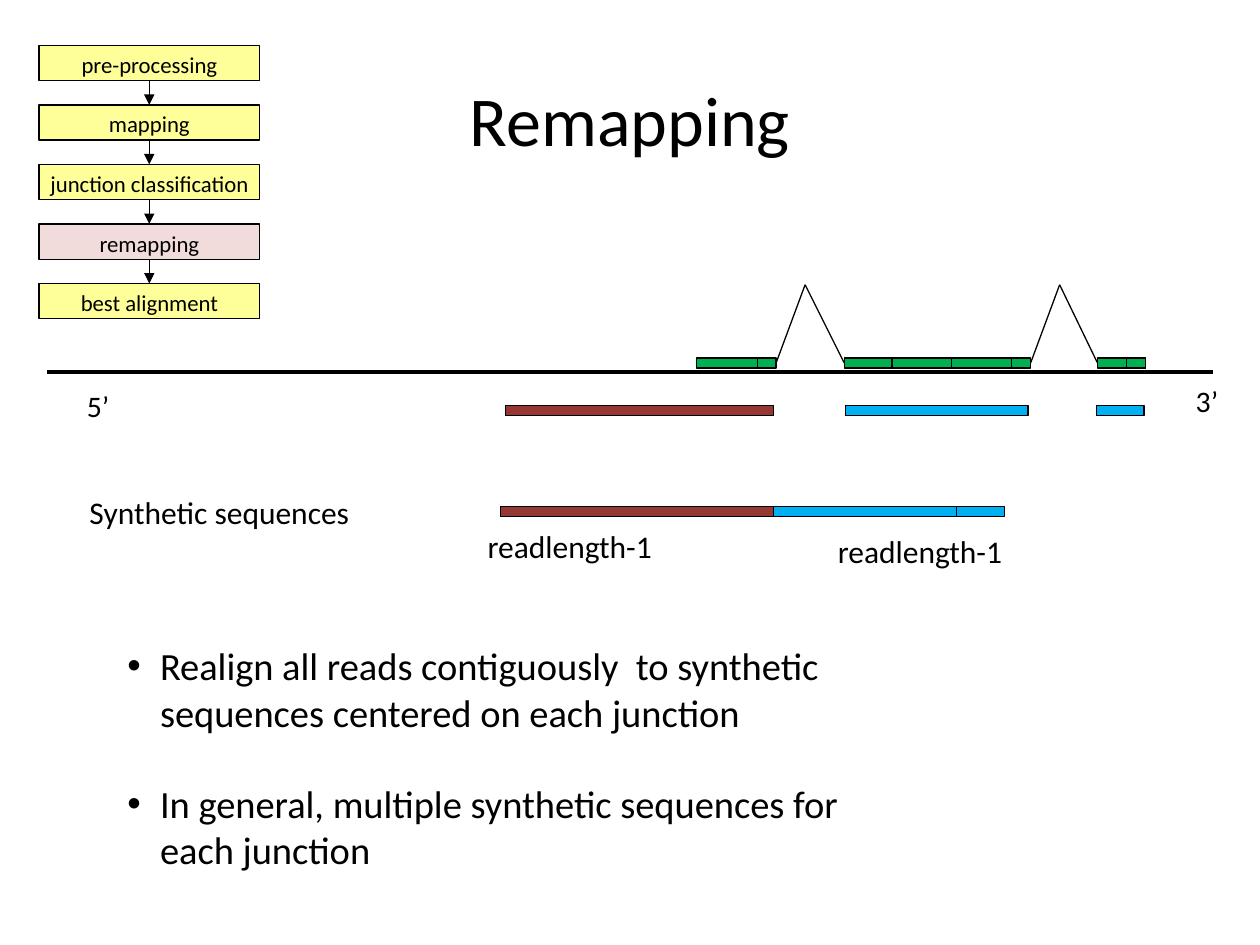
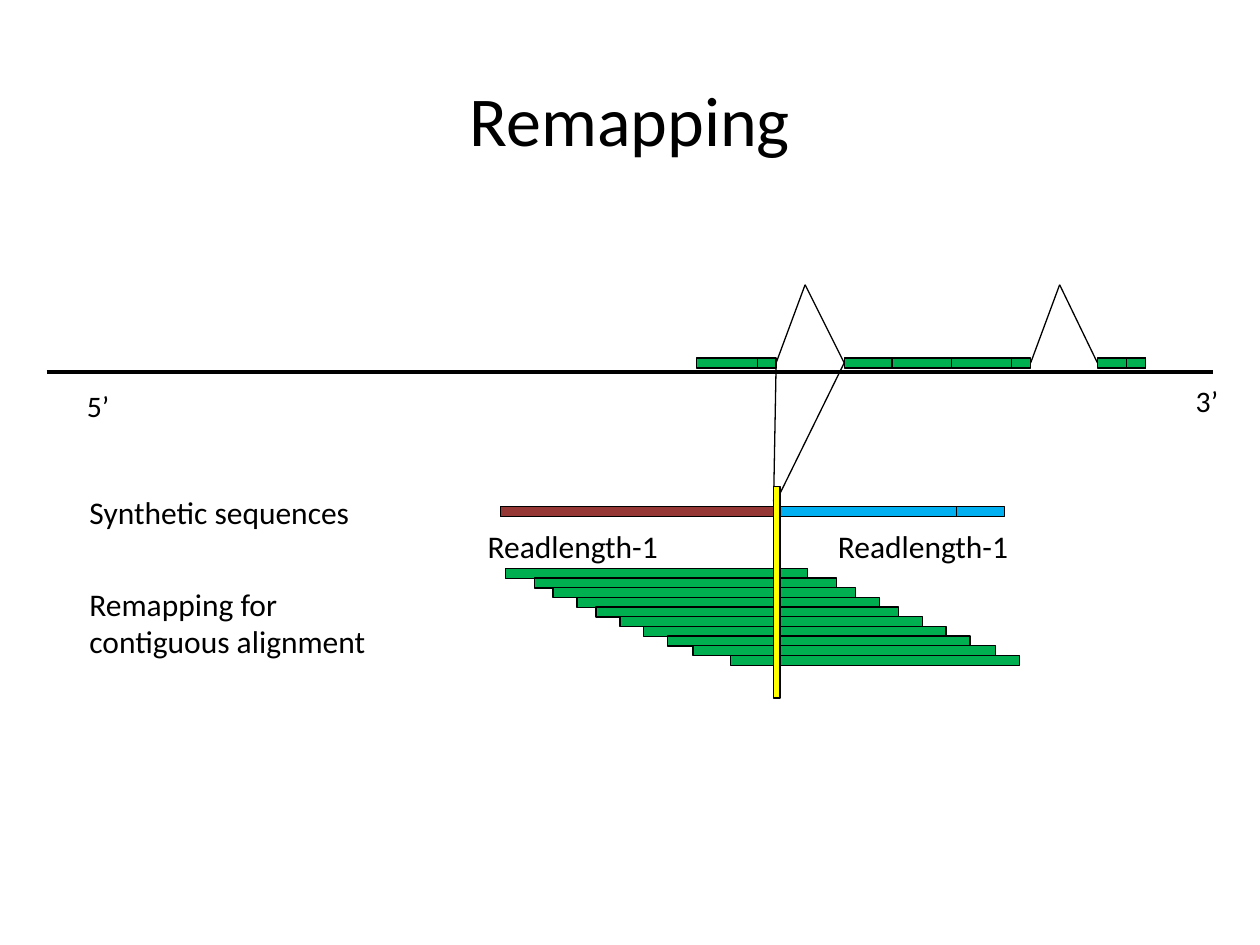
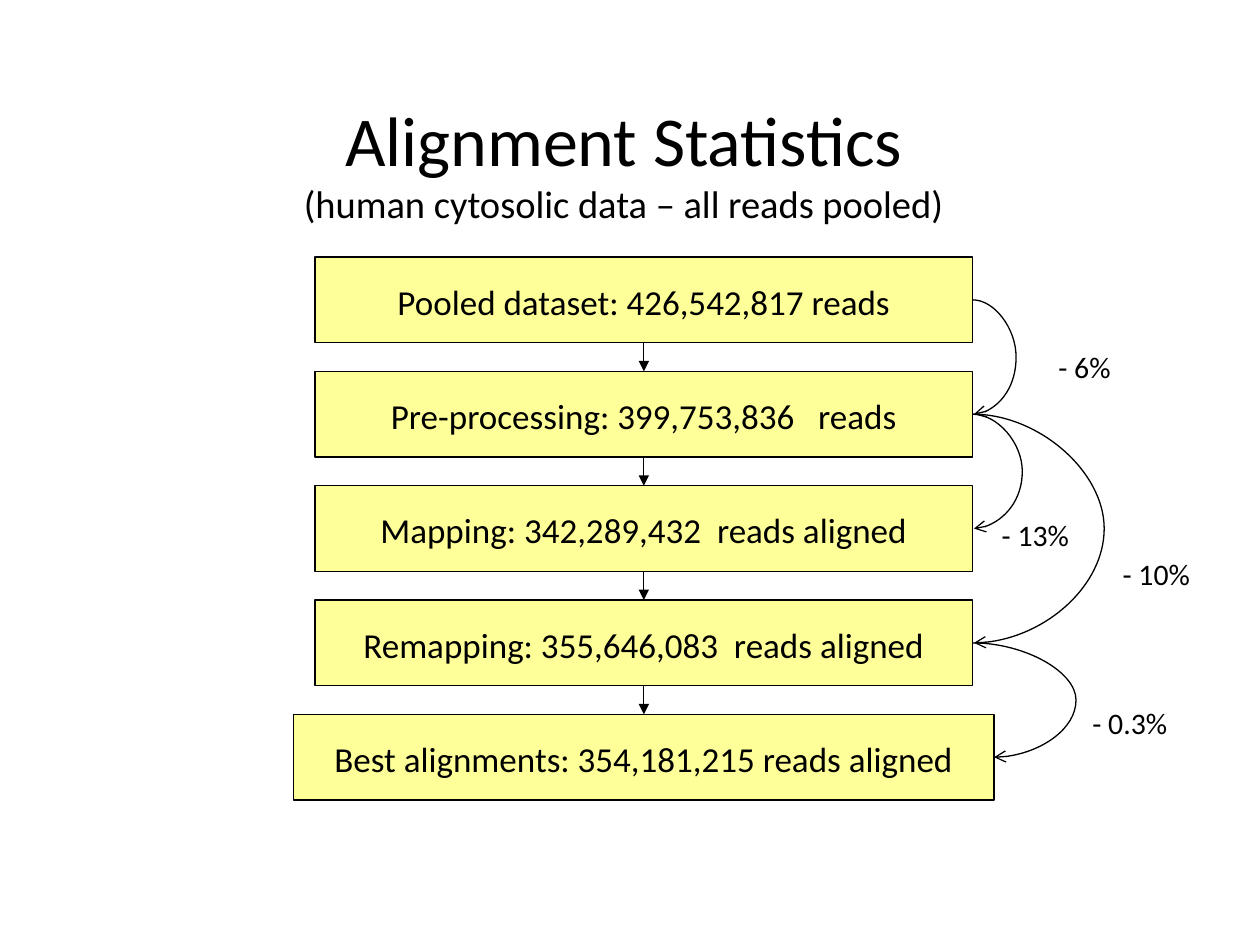
import dataclasses
import typing

import lxml.etree
import pptx
import pptx.dml.color
import pptx.enum.shapes
import pptx.enum.text
import pptx.oxml.ns
import pptx.util

Inches = pptx.util.Inches
Pt = pptx.util.Pt
qn = pptx.oxml.ns.qn
ALIGN = pptx.enum.text.PP_ALIGN
ANCHOR = pptx.enum.text.MSO_ANCHOR
LINK = pptx.enum.shapes.MSO_CONNECTOR
TOP, LEFT, BOTTOM, RIGHT = range(4)


@dataclasses.dataclass(frozen=True)
class Theme:
    font: str = "Calibri"
    ink: str = "000000"
    green: str = "00B050"
    brown: str = "953735"
    blue: str = "00B0F0"
    yellow: str = "FFFF00"
    cream: str = "FFFF99"
    pink: str = "F2DCDB"
    title: int = 40
    body: int = 22
    stage: int = 20
    label: int = 18
    mark: int = 17
    step: int = 13
    thin: float = 0.75
    thick: float = 2.25


THEME = Theme()


class Bar(typing.NamedTuple):
    left: float
    top: float
    width: float
    fill: str
    height: float = 0.08


class Label(typing.NamedTuple):
    text: str
    left: float
    top: float
    width: float
    size: int = THEME.label
    height: float = 0.38


class Step(typing.NamedTuple):
    text: str
    left: float
    width: float
    fill: str = THEME.cream


class Stack(typing.NamedTuple):
    first: float
    last: float
    height: float
    size: int


class Curve(typing.NamedTuple):
    start: int
    end: int
    reach: float


PLAIN = {
    "word_wrap": True,
    "margin_left": Inches(0.09),
    "margin_right": Inches(0.09),
    "margin_top": Inches(0.05),
    "margin_bottom": Inches(0.05),
}
HEAD = {
    "word_wrap": True,
    "vertical_anchor": ANCHOR.MIDDLE,
    "margin_left": 0,
    "margin_right": 0,
    "margin_top": Inches(0.04),
    "margin_bottom": 0,
}
BOXED = {
    "word_wrap": False,
    "vertical_anchor": ANCHOR.MIDDLE,
    "margin_left": Inches(0.1),
    "margin_right": Inches(0.1),
    "margin_top": Inches(0.07),
    "margin_bottom": Inches(0.05),
}

EXON_TOP = 2.84
EXONS = [(5.53, 0.5), (7.05, 0.5), (7.55, 0.5), (6.01, 0.15),
         (6.7, 0.38), (8.03, 0.15), (8.71, 0.38), (8.94, 0.15)]
PEAKS = [(6.39, 3, 4), (8.41, 5, 6)]
PEAK_TOP = 2.26

JOINED = [Bar(3.97, 4.02, 2.17, THEME.brown),
          Bar(6.14, 4.02, 1.45, THEME.blue),
          Bar(7.59, 4.02, 0.38, THEME.blue)]
PARTS = [Bar(4.01, 3.22, 2.13, THEME.brown),
         Bar(6.71, 3.22, 1.45, THEME.blue),
         Bar(8.7, 3.22, 0.38, THEME.blue)]
ENDS = [Label("3’", 9.4, 2.99, 0.5, THEME.mark),
        Label("5’", 0.6, 3.03, 0.5, THEME.mark)]
NAME = Label("Synthetic sequences", 0.62, 3.86, 2.4)

READS = [4.01, 4.24, 4.39, 4.58, 4.73, 4.92, 5.11, 5.3, 5.5, 5.8]

FLOW = [Step("pre-processing", 0.31, 1.75),
        Step("mapping", 0.31, 1.75),
        Step("junction classification", 0.31, 1.75),
        Step("remapping", 0.31, 1.75, THEME.pink),
        Step("best alignment", 0.31, 1.75)]
COUNTS = [Step("Pooled dataset: 426,542,817 reads", 2.5, 5.22),
          Step("Pre-processing: 399,753,836   reads", 2.5, 5.22),
          Step("Mapping: 342,289,432  reads aligned", 2.5, 5.22),
          Step("Remapping: 355,646,083  reads aligned", 2.5, 5.22),
          Step("Best alignments: 354,181,215 reads aligned", 2.33, 5.56)]
CURVES = [Curve(0, 1, 0.35), Curve(1, 2, 0.4), Curve(1, 3, 1.06), Curve(3, 4, 0.82)]
LOSSES = [("- 6%", 8.31, 2.72), ("- 13%", 7.86, 4.05),
          ("- 10%", 8.82, 4.36), ("- 0.3%", 8.58, 5.54)]
POINTS = ["Realign all reads contiguously  to synthetic sequences centered on each junction",
          "In general, multiple synthetic sequences for each junction"]


def tint(code: str):
    return pptx.dml.color.RGBColor.from_string(code)


def apply(item, values: dict) -> None:
    for key, value in values.items():
        setattr(item, key, value)


def write(para, text: str, size: int) -> None:
    run = para.add_run()
    run.text = text
    apply(run.font, {"name": THEME.font, "size": Pt(size)})
    run.font.color.rgb = tint(THEME.ink)


def frame(slide, left: float, top: float, width: float, height: float, style: dict):
    box = slide.shapes.add_textbox(Inches(left), Inches(top), Inches(width), Inches(height))
    apply(box.text_frame, style)
    return box.text_frame


def label(slide, item: Label) -> None:
    body = frame(slide, item.left, item.top, item.width, item.height, PLAIN)
    write(body.paragraphs[0], item.text, item.size)


def title(slide, text: str, left: float, top: float, under: str = "") -> None:
    para = frame(slide, left, top, 9, 1.16, HEAD).paragraphs[0]
    para.alignment = ALIGN.CENTER
    write(para, text, THEME.title)
    if under:
        para.add_line_break()
        write(para, under, THEME.body)


def block(slide, item: Bar):
    shape = slide.shapes.add_shape(
        pptx.enum.shapes.MSO_SHAPE.RECTANGLE, Inches(item.left), Inches(item.top),
        Inches(item.width), Inches(item.height))
    shape.shadow.inherit = False
    shape.fill.solid()
    shape.fill.fore_color.rgb = tint(item.fill)
    shape.line.color.rgb = tint(THEME.ink)
    shape.line.width = Pt(THEME.thin)
    return shape


def line(slide, start=(0, 0), end=(0, 0), width: float = THEME.thin,
         tip: str = "", kind=LINK.STRAIGHT):
    link = slide.shapes.add_connector(kind, *map(Inches, (*start, *end)))
    link.line.color.rgb = tint(THEME.ink)
    link.line.width = Pt(width)
    if tip:
        lxml.etree.SubElement(link.line._get_or_add_ln(), qn("a:tailEnd"), type=tip)
    lxml.etree.SubElement(link._element.spPr, qn("a:effectLst"))
    return link


def stack(slide, steps: list[Step], plan: Stack) -> list:
    pitch = (plan.last - plan.first) / (len(steps) - 1)
    boxes = []
    for row, step in enumerate(steps):
        top = plan.first + row * pitch
        box = block(slide, Bar(step.left, top, step.width, step.fill, plan.height))
        apply(box.text_frame, BOXED)
        para = box.text_frame.paragraphs[0]
        para.alignment = ALIGN.CENTER
        write(para, step.text, plan.size)
        boxes.append(box)
    for above, below in zip(boxes, boxes[1:]):
        link = line(slide, tip="triangle")
        link.end_connect(below, TOP)
        link.begin_connect(above, BOTTOM)
    return boxes


def curve(slide, boxes: list, item: Curve) -> None:
    link = line(slide, tip="arrow", kind=LINK.CURVE)
    link.end_connect(boxes[item.end], RIGHT)
    link.begin_connect(boxes[item.start], RIGHT)
    link.width = max(link.width, Inches(0.01))
    bend = round(Inches(item.reach) / link.width * 100000)
    shape = link._element.spPr.find(qn("a:prstGeom"))
    guides = shape.find(qn("a:avLst"))
    if guides is None:
        guides = lxml.etree.SubElement(shape, qn("a:avLst"))
    lxml.etree.SubElement(guides, qn("a:gd"), name="adj1", fmla=f"val {bend}")


def genome(slide) -> list:
    title(slide, "Remapping", 0.5, 0.34)
    line(slide, (0.37, 2.95), (9.63, 2.95), THEME.thick)
    for item in (*ENDS, NAME):
        label(slide, item)
    exons = [block(slide, Bar(left, EXON_TOP, width, THEME.green)) for left, width in EXONS]
    for peak, before, after in PEAKS:
        for exon, side in ((before, RIGHT), (after, LEFT)):
            line(slide, (peak, PEAK_TOP)).end_connect(exons[exon], side)
    for bar in JOINED:
        block(slide, bar)
    return exons


def points(slide) -> None:
    body = frame(slide, 0.92, 5.05, 6.29, 1.94, PLAIN)
    for row, text in enumerate(POINTS):
        para = body.add_paragraph() if row else body.paragraphs[0]
        para.space_before = Pt(26 if row else 0)
        props = para._p.get_or_add_pPr()
        props.set("marL", str(Inches(0.26)))
        props.set("indent", str(-Inches(0.26)))
        lxml.etree.SubElement(props, qn("a:buFont"), typeface="Arial")
        lxml.etree.SubElement(props, qn("a:buChar"), char="•")
        write(para, text, THEME.body)


def method(slide) -> None:
    genome(slide)
    for bar in PARTS:
        block(slide, bar)
    for left, top in ((3.78, 4.13), (6.56, 4.17)):
        label(slide, Label("readlength-1", left, top, 1.71))
    stack(slide, FLOW, Stack(0.36, 2.25, 0.28, THEME.step))
    points(slide)


def detail(slide) -> None:
    exons = genome(slide)
    for left in (3.78, 6.56):
        label(slide, Label("Readlength-1", left, 4.13, 1.71))
    pitch = (5.2 - 4.51) / (len(READS) - 1)
    for row, left in enumerate(READS):
        width = 2.29 if left == READS[-1] else 2.4
        block(slide, Bar(left, 4.51 + row * pitch, width, THEME.green))
    for top, exon, side in ((3.98, 3, RIGHT), (4.02, 4, LEFT)):
        line(slide, (6.14, top)).end_connect(exons[exon], side)
    block(slide, Bar(6.14, 3.86, 0.05, THEME.yellow, 1.68))
    label(slide, Label("Remapping for contiguous alignment", 0.62, 4.59, 2.4, height=0.7))


def totals(slide) -> None:
    title(slide, "Alignment Statistics", 0.45, 0.68, "(human cytosolic data – all reads pooled)")
    boxes = stack(slide, COUNTS, Stack(2.04, 5.67, 0.68, THEME.stage))
    for item in CURVES:
        curve(slide, boxes, item)
    for text, left, top in LOSSES:
        label(slide, Label(text, left, top, 1.18, THEME.mark))


def main() -> None:
    deck = pptx.Presentation()
    apply(deck, {"slide_width": Inches(10), "slide_height": Inches(7.5)})
    for draw in (method, detail, totals):
        draw(deck.slides.add_slide(deck.slide_layouts[6]))
    deck.save("out.pptx")


if __name__ == "__main__":
    main()
